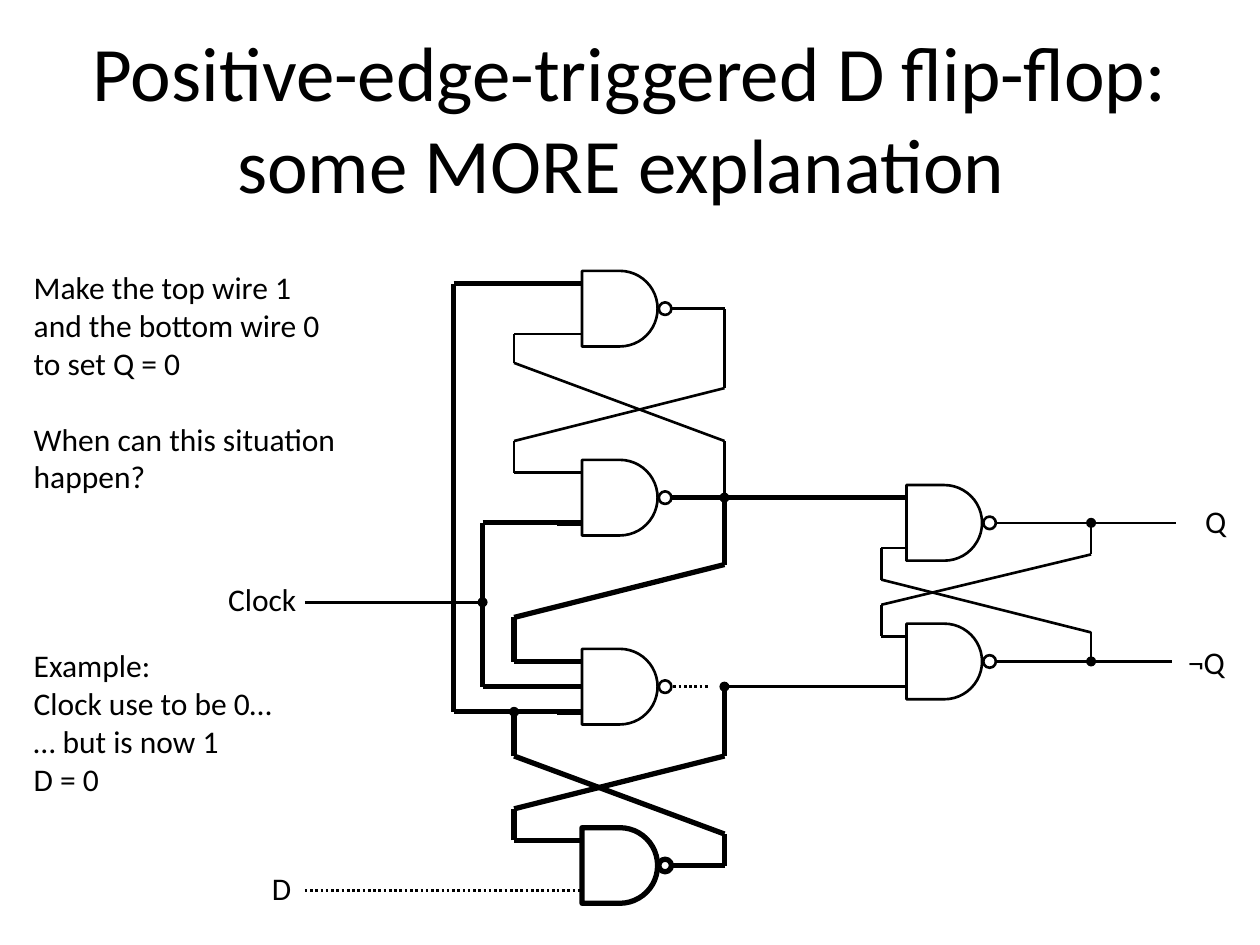
"""Builds the slide on the positive-edge-triggered D flip-flop."""
from dataclasses import dataclass
from itertools import pairwise

import pptx
import pptx.dml.color
import pptx.enum.dml
import pptx.enum.shapes
import pptx.enum.text
import pptx.oxml
import pptx.util

Pt = pptx.util.Pt
SHAPE = pptx.enum.shapes.MSO_SHAPE
ALIGN = pptx.enum.text.PP_ALIGN
ANCHOR = pptx.enum.text.MSO_ANCHOR


@dataclass(frozen=True)
class Theme:
    """Colours, font and type sizes."""
    ink: str = "000000"
    paper: str = "FFFFFF"
    font: str = "Calibri"
    title: float = 44
    body: float = 18


@dataclass(frozen=True)
class Stroke:
    """Weight and dash of a line."""
    weight: float
    dash: object = None


HAIR = Stroke(0.75)
THIN = Stroke(1.5)
BOLD = Stroke(3)
DOTTED = Stroke(1.5, pptx.enum.dml.MSO_LINE.ROUND_DOT)

GATE = 43.2    # side of a gate body
STUB = 14.4    # length of a pin, and spacing from gate centre to pin
BUBBLE = 7.2
DOT = 5


class Circuit:
    """Draws circuit elements on one slide in one style."""

    def __init__(self, s, theme):
        """Keeps the slide and the theme."""
        self.s, self.theme = s, theme

    def colour(self, name):
        """Returns a theme colour."""
        return pptx.dml.color.RGBColor.from_string(getattr(self.theme, name))

    def stroke(self, line, stroke):
        """Applies a stroke to a line format."""
        line.color.rgb = self.colour("ink")
        line.width = Pt(stroke.weight)
        if stroke.dash:
            line.dash_style = stroke.dash

    def shape(self, kind, x, y, size, stroke, fill=None, shapes=None):
        """Adds a square-framed shape by its top left corner."""
        shapes = shapes or self.s.shapes
        sp = shapes.add_shape(kind, Pt(x), Pt(y), Pt(size), Pt(size))
        sp.shadow.inherit = False
        if fill:
            sp.fill.solid()
            sp.fill.fore_color.rgb = self.colour(fill)
        else:
            sp.fill.background()
        self.stroke(sp.line, stroke)

    def wire(self, stroke, *points, shapes=None):
        """Joins consecutive points with straight lines."""
        shapes = shapes or self.s.shapes
        for start, end in pairwise(points):
            sp = shapes.add_connector(
                pptx.enum.shapes.MSO_CONNECTOR.STRAIGHT,
                *(Pt(v) for v in (*start, *end)))
            self.stroke(sp.line, stroke)
            sp.element.spPr.append(
                pptx.oxml.parse_xml('<a:effectLst xmlns:a="http://schemas.'
                                    'openxmlformats.org/drawingml/2006/main"/>'))

    def gate(self, x, y, inputs, body=THIN, out=THIN, reach=STUB):
        """Adds a grouped NAND gate; inputs run from top to bottom."""
        shapes = self.s.shapes.add_group_shape().shapes
        self.shape(SHAPE.FLOWCHART_DELAY, x, y - GATE / 2, GATE, body, shapes=shapes)
        right = x + GATE
        self.wire(out, (right, y), (right + reach, y), shapes=shapes)
        step = 2 * STUB / (len(inputs) - 1)
        for i, stroke in enumerate(inputs):
            row = y - STUB + i * step
            self.wire(stroke, (x - STUB, row), (x, row), shapes=shapes)
        self.shape(SHAPE.OVAL, right + 0.7, y - BUBBLE / 2, BUBBLE, body,
                   "paper", shapes)

    def dot(self, x, y):
        """Marks a junction."""
        self.shape(SHAPE.OVAL, x - DOT / 2, y - DOT / 2, DOT, HAIR, "ink")

    def text(self, box, paragraphs, size, align=ALIGN.LEFT, anchor=ANCHOR.MIDDLE):
        """Adds a text box; paragraphs are pairs of text and space before."""
        tf = self.s.shapes.add_textbox(*(Pt(v) for v in box)).text_frame
        tf.word_wrap = True
        tf.vertical_anchor = anchor
        for i, (words, gap) in enumerate(paragraphs):
            p = tf.add_paragraph() if i else tf.paragraphs[0]
            p.alignment = align
            p.space_before = Pt(gap)
            r = p.add_run()
            r.text = words
            r.font.name, r.font.size = self.theme.font, Pt(size)
            r.font.color.rgb = self.colour("ink")


# Columns
SOURCE, OUTER, INNER, LOOP = 174.2, 259.2, 275.8, 293.8
LEFT_GATE, TAP = 332.6, 414
PIN, LEFT_OUT = LEFT_GATE - STUB, LEFT_GATE + GATE + STUB
RIGHT_GATE, Q_TAP = 518, 623.5
RIGHT_PIN, RIGHT_OUT = RIGHT_GATE - STUB, RIGHT_GATE + GATE + STUB
# Gate centres and the clock row
TOP, SET, RESET, DATA = 176.4, 284.4, 392.4, 494.6
Q, NOT_Q = 298.8, 378
CLOCK = 344.2


def draw_gates(c):
    """Draws the six NAND gates."""
    c.gate(LEFT_GATE, RESET, [BOLD] * 3, out=DOTTED, reach=2 * STUB)
    c.gate(LEFT_GATE, DATA, [BOLD, DOTTED], body=BOLD, out=BOLD)
    c.gate(LEFT_GATE, SET, [THIN, BOLD], out=BOLD)
    c.gate(LEFT_GATE, TOP, [BOLD, THIN])
    c.gate(RIGHT_GATE, NOT_Q, [THIN, THIN])
    c.gate(RIGHT_GATE, Q, [BOLD, THIN])


def draw_wires(c):
    """Draws the wires and their junctions."""
    def above(y):
        return y - STUB

    def below(y):
        return y + STUB

    c.wire(DOTTED, (SOURCE, below(DATA)), (PIN, below(DATA)))
    c.wire(BOLD, (PIN, above(DATA)), (LOOP, above(DATA)), (LOOP, 462.2),
           (TAP, 432), (TAP, RESET))
    c.wire(THIN, (TAP, RESET), (RIGHT_PIN, RESET))
    c.wire(BOLD, (LEFT_OUT, DATA), (TAP, DATA), (TAP, 476.6), (LOOP, 432),
           (LOOP, below(RESET)))
    c.wire(BOLD, (PIN, below(RESET)), (OUTER, below(RESET)),
           (OUTER, above(TOP)), (PIN, above(TOP)))
    c.wire(BOLD, (PIN, RESET), (INNER, RESET), (INNER, below(SET)),
           (PIN, below(SET)))
    c.wire(THIN, (PIN, above(SET)), (LOOP, above(SET)), (LOOP, 252),
           (TAP, 221.8), (TAP, TOP), (LEFT_OUT, TOP))
    c.wire(BOLD, (PIN, above(RESET)), (LOOP, above(RESET)), (LOOP, 352.8),
           (TAP, 322.6), (TAP, SET))
    c.wire(THIN, (TAP, SET), (TAP, 252), (LOOP, 207.4), (LOOP, below(TOP)),
           (PIN, below(TOP)))
    c.wire(BOLD, (LEFT_OUT, SET), (RIGHT_PIN, SET))
    c.wire(THIN, (SOURCE, CLOCK), (INNER, CLOCK))
    c.wire(THIN, (RIGHT_PIN, above(NOT_Q)), (RIGHT_PIN, 345.6),
           (Q_TAP, 316.8), (Q_TAP, Q))
    c.wire(THIN, (RIGHT_PIN, below(Q)), (RIGHT_PIN, 331.2),
           (Q_TAP, 361.4), (Q_TAP, NOT_Q))
    for row, end in ((Q, 671.8), (NOT_Q, 669.6)):
        c.wire(THIN, (RIGHT_OUT, row), (Q_TAP, row), (end, row))
    for x, y in ((INNER, CLOCK), (LOOP, below(RESET)), (TAP, RESET),
                 (TAP, SET), (Q_TAP, Q), (Q_TAP, NOT_Q)):
        c.dot(x, y)


def draw_text(c):
    """Writes the title, the pin labels and the explanation."""
    c.text((36, 21.6, 648, 90), [("Positive-edge-triggered D flip-flop: "
           "some MORE explanation ", 0)], c.theme.title, ALIGN.CENTER)
    for label, box, align in (
            ("D", (141.8, 489.6, 31.7, 36), ALIGN.RIGHT),
            ("Clock", (84.2, 324, 92.2, 36), ALIGN.RIGHT),
            ("Q", (676.1, 279.4, 31.7, 36), ALIGN.RIGHT),
            ("¬Q", (671.8, 360, 36, 36), ALIGN.LEFT)):
        c.text(box, [(label, 0)], c.theme.body, align)
    line = 1.2 * c.theme.body
    c.text((12.2, 149.8, 187.9, 166.3), [
        ("Make the top wire 1 and the bottom wire 0 to set Q = 0", 0),
        ("When can this situation happen?", line),
        ("Example:", 4 * line), ("Clock use to be 0…", 0),
        ("… but is now 1", 0), ("D = 0", 0)], c.theme.body, anchor=ANCHOR.TOP)


prs = pptx.Presentation()
prs.slide_width, prs.slide_height = Pt(720), Pt(540)
circuit = Circuit(prs.slides.add_slide(prs.slide_layouts[6]), Theme())
draw_gates(circuit)
draw_wires(circuit)
draw_text(circuit)
prs.save("out.pptx")
